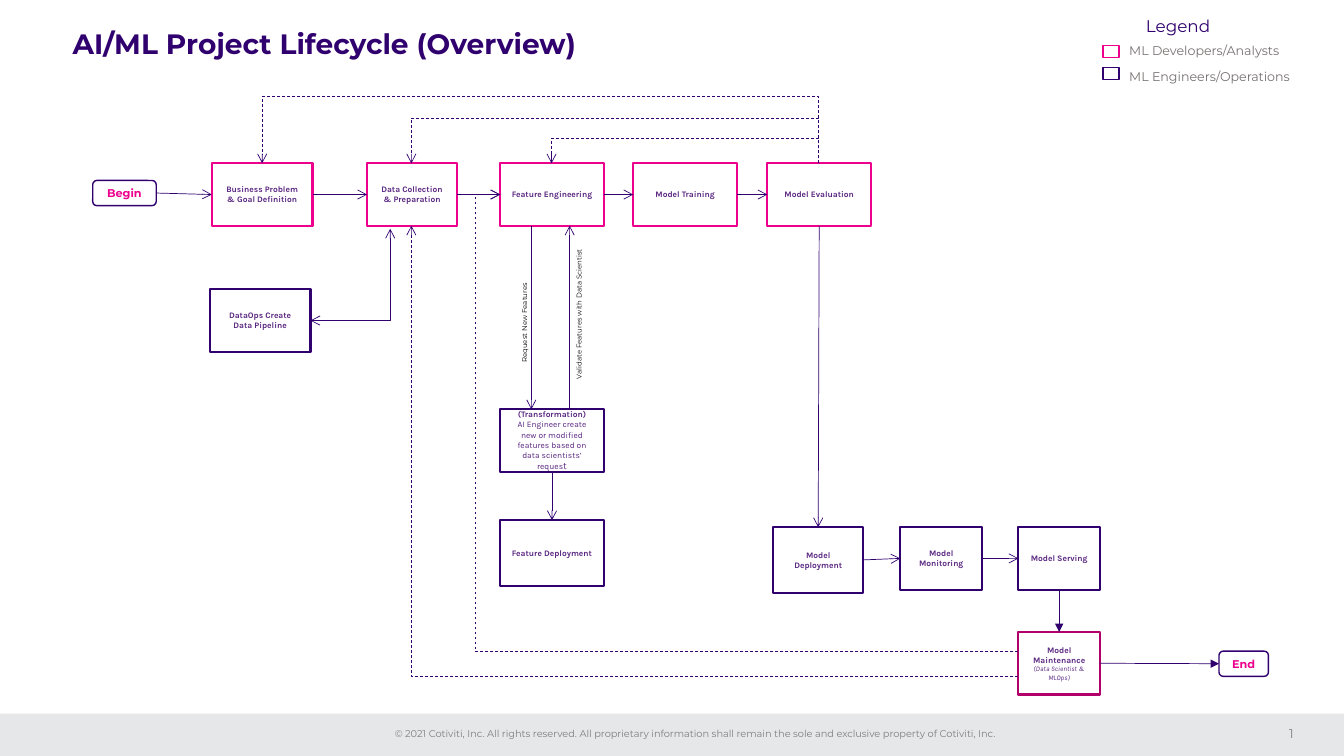
import pptx
import pptx.dml.color
import pptx.enum.dml
import pptx.enum.shapes
import pptx.enum.text
import pptx.oxml
import pptx.oxml.ns
import pptx.util
from lxml import etree

SHAPE = pptx.enum.shapes.MSO_SHAPE
ALIGN = pptx.enum.text.PP_ALIGN
ANCHOR = pptx.enum.text.MSO_ANCHOR
INCH = pptx.util.Inches
W, H = 13.33, 7.5
COLORS = {
    "navy": "30006F", "pink": "EC008C", "plum": "B10069", "purple": "592680",
    "white": "FFFFFF", "black": "000000", "band": "E6E7E8",
    "footer": "808080", "legend": "767171",
}
# Grid: left edge of each column and top edge of each row, in inches
COLS = {"begin": 0.92, "dataops": 2.08, "business": 2.1, "collect": 3.64,
        "feature": 4.96, "training": 6.28, "evaluate": 7.61, "deploy": 7.67,
        "monitor": 8.93, "serving": 10.1, "end": 12.09}
ROWS = {"begin": 1.79, "main": 1.62, "dataops": 2.87, "transform": 4.06,
        "feature": 5.16, "operate": 5.23, "maintain": 6.27, "end": 6.46}
BOX_H = 0.62
TOP, LEFT, BOTTOM, RIGHT = range(4)


def rgb(name):
    return pptx.dml.color.RGBColor.from_string(COLORS[name])


def add_run(p, text, size, color, font="Montserrat", bold=False, italic=False):
    r = p.add_run()
    r.text = text
    r.font.name, r.font.size = font, pptx.util.Pt(size)
    r.font.bold, r.font.italic = bold, italic
    r.font.color.rgb = rgb(color)
    return r


def add_box(s, x, y, w, h, line, width, fill="white", shape=SHAPE.RECTANGLE):
    sp = s.shapes.add_shape(shape, INCH(x), INCH(y), INCH(w), INCH(h))
    sp.shadow.inherit = False
    if fill:
        sp.fill.solid()
        sp.fill.fore_color.rgb = rgb(fill)
    else:
        sp.fill.background()
    if line:
        sp.line.color.rgb = rgb(line)
        sp.line.width = pptx.util.Pt(width)
    else:
        sp.line.fill.background()
    return sp


def add_step(s, col, row, w, line, paragraphs, h=BOX_H):
    """Process box; each paragraph is a list of (text, size, bold, italic)."""
    sp = add_box(s, COLS[col], ROWS[row], w, h, line, 1.5)
    tf = sp.text_frame
    tf.word_wrap, tf.vertical_anchor = True, ANCHOR.MIDDLE
    for i, runs in enumerate(paragraphs):
        p = tf.add_paragraph() if i else tf.paragraphs[0]
        p.alignment = ALIGN.CENTER
        for text, size, bold, italic in runs:
            add_run(p, text, size, "purple", "Karla", bold, italic)
    return sp


def add_terminal(s, name, w, text):
    sp = add_box(s, COLS[name], ROWS[name], w, 0.25, "navy", 1,
                 shape=SHAPE.ROUNDED_RECTANGLE)
    tf = sp.text_frame
    tf.word_wrap, tf.vertical_anchor = True, ANCHOR.MIDDLE
    p = tf.paragraphs[0]
    p.alignment = ALIGN.CENTER
    add_run(p, text, 8, "pink", bold=True)
    return sp


def add_label(s, x, y, w, h, text, size, color, align=ALIGN.LEFT, rotation=0):
    sp = s.shapes.add_textbox(INCH(x), INCH(y), INCH(w), INCH(h))
    sp.rotation = rotation
    tf = sp.text_frame
    tf.word_wrap, tf.vertical_anchor = True, ANCHOR.MIDDLE
    tf.margin_left = tf.margin_right = tf.margin_top = tf.margin_bottom = 0
    p = tf.paragraphs[0]
    p.alignment = align
    if text:
        add_run(p, text, size, color)
    return sp


def add_side_label(s, x, bottom, length, text):
    """Label that reads upwards, centred on x and starting at bottom."""
    h = 0.2
    add_label(s, x - length / 2, bottom - length / 2 - h / 2, length, h,
              text, 5, "black", rotation=270)


def style_line(sp, tail="arrow", head=None, dashed=False):
    sp.line.color.rgb = rgb("navy")
    sp.line.width = pptx.util.Pt(0.5)
    if dashed:
        sp.line.dash_style = pptx.enum.dml.MSO_LINE.DASH
    props = sp.element.spPr
    ln = props.find(pptx.oxml.ns.qn("a:ln"))
    for tag, kind in (("a:headEnd", head), ("a:tailEnd", tail)):
        if kind:
            etree.SubElement(ln, pptx.oxml.ns.qn(tag), type=kind)
    etree.SubElement(props, pptx.oxml.ns.qn("a:effectLst"))


def add_arrow(s, x1, y1, x2, y2):
    line = s.shapes.add_connector(pptx.enum.shapes.MSO_CONNECTOR.STRAIGHT,
                                  INCH(x1), INCH(y1), INCH(x2), INCH(y2))
    style_line(line)


def join(s, start, start_side, end, end_side, tail="arrow"):
    line = s.shapes.add_connector(pptx.enum.shapes.MSO_CONNECTOR.STRAIGHT, 0, 0, 0, 0)
    line.begin_connect(start, start_side)
    line.end_connect(end, end_side)
    style_line(line, tail)


def add_route(s, points, head=None, dashed=True):
    """Right-angled route through the given points."""
    first, *rest = [(INCH(x), INCH(y)) for x, y in points]
    builder = s.shapes.build_freeform(*first, scale=1.0)
    builder.add_line_segments(rest, close=False)
    sp = builder.convert_to_shape()
    sp.fill.background()
    style_line(sp, head=head, dashed=dashed)


def add_title(s):
    title = s.shapes.title
    title.left, title.top = INCH(0.62), INCH(0.25)
    title.width, title.height = INCH(7.38), INCH(0.7)
    tf = title.text_frame
    tf.auto_size = pptx.enum.text.MSO_AUTO_SIZE.NONE
    tf.word_wrap, tf.vertical_anchor = True, ANCHOR.TOP
    p = tf.paragraphs[0]
    p.alignment, p.line_spacing = ALIGN.LEFT, 0.9
    add_run(p, "AI/ML Project Lifecycle (Overview)", 20, "navy", bold=True)


def add_footer(s):
    add_box(s, 0, 7.08, W, H - 7.08, None, 0, fill="band")
    add_label(s, 3.76, 7.17, 6.27, 0.22,
              "© 2021 Cotiviti, Inc. All rights reserved. All proprietary information "
              "shall remain the sole and exclusive property of Cotiviti, Inc.",
              7, "footer", ALIGN.CENTER)
    # Slide number as a live field
    number = add_label(s, 12.3, 7.13, 0.53, 0.3, "1", 9, "footer", ALIGN.RIGHT)
    r = number.text_frame.paragraphs[0].runs[0]._r
    r.tag = pptx.oxml.ns.qn("a:fld")
    r.set("id", "{B6F15528-21DE-4FAA-801E-634DDDAF4B2B}")
    r.set("type", "slidenum")


def add_legend(s):
    add_label(s, 10.91, 0.16, 1.55, 0.2, "Legend", 12, "navy", ALIGN.CENTER)
    entries = [("pink", "ML Developers/Analysts"), ("navy", "ML Engineers/Operations")]
    for i, (color, text) in enumerate(entries):
        y = 0.45 + 0.22 * i
        add_box(s, 10.94, y, 0.16, 0.12, color, 1, fill=None)
        add_label(s, 11.2, 0.4 + 0.26 * i, 1.75, 0.2, text, 9, "legend")


def main():
    prs = pptx.Presentation()
    prs.slide_width, prs.slide_height = INCH(W), INCH(H)
    s = prs.slides.add_slide(prs.slide_layouts[5])
    add_footer(s)
    add_title(s)
    add_legend(s)

    # Process boxes: column, row, width, outline, text, height
    boxes = {}
    for name, col, row, w, line, text, h in [
        ("business", "business", "main", 1, "pink", "Business Problem & Goal Definition", BOX_H),
        ("collect", "collect", "main", 0.89, "pink", "Data Collection & Preparation", BOX_H),
        ("feature", "feature", "main", 1.03, "pink", "Feature Engineering", BOX_H),
        ("training", "training", "main", 1.03, "pink", "Model Training", BOX_H),
        ("evaluate", "evaluate", "main", 1.03, "pink", "Model Evaluation", BOX_H),
        ("dataops", "dataops", "dataops", 1, "navy", "DataOps Create Data Pipeline", BOX_H),
        ("rollout", "feature", "feature", 1.03, "navy", "Feature Deployment", 0.65),
        ("deploy", "deploy", "operate", 0.89, "navy", "Model Deployment", 0.65),
        ("monitor", "monitor", "operate", 0.81, "navy", "Model Monitoring", BOX_H),
        ("serving", "serving", "operate", 0.81, "navy", "Model Serving", BOX_H),
    ]:
        boxes[name] = add_step(s, col, row, w, line, [[(text, 6, True, False)]], h)
    boxes["transform"] = add_step(s, "feature", "transform", 1.03, "navy", [
        [("(Transformation)", 6, True, False)],
        [("AI Engineer create new or modified features based on data scientists’ reques",
          6, False, False), ("t", 7, False, False)]])
    boxes["maintain"] = add_step(s, "serving", "maintain", 0.81, "plum", [
        [("Model Maintenance", 6, True, False)],
        [("(Data Scientist & MLOps)", 5, False, True)]])
    boxes["begin"] = add_terminal(s, "begin", 0.63, "Begin")
    boxes["end"] = add_terminal(s, "end", 0.49, "End")

    # Straight flow between neighbouring boxes
    main_flow = ["begin", "business", "collect", "feature", "training", "evaluate"]
    for flow in (main_flow, ["deploy", "monitor", "serving"]):
        for start, end in zip(flow, flow[1:]):
            join(s, boxes[start], RIGHT, boxes[end], LEFT)
    join(s, boxes["transform"], BOTTOM, boxes["rollout"], TOP)
    join(s, boxes["evaluate"], BOTTOM, boxes["deploy"], TOP)
    join(s, boxes["serving"], BOTTOM, boxes["maintain"], TOP, "triangle")
    join(s, boxes["maintain"], RIGHT, boxes["end"], LEFT, "triangle")

    # Feature request and validation
    main_top, main_bottom = ROWS["main"], ROWS["main"] + BOX_H
    add_arrow(s, 5.27, main_bottom, 5.27, ROWS["transform"])
    add_arrow(s, 5.65, ROWS["transform"], 5.65, main_bottom)
    add_side_label(s, 5.2, 3.6, 1, "Request New Features")
    add_side_label(s, 5.74, 3.76, 1.5, "Validate Features with Data Scientist")

    # Feedback loops from evaluation and maintenance
    for x, lane in ((2.6, 0.96), (4.08, 1.17), (5.47, 1.37)):
        add_route(s, [(8.12, main_top), (8.12, lane), (x, lane), (x, main_top)])
    add_route(s, [(10.1, 6.71), (4.08, 6.71), (4.08, main_bottom)])
    add_route(s, [(10.1, 6.46), (4.71, 6.46), (4.71, 1.93), (COLS["feature"], 1.93)])
    add_route(s, [(3.87, 2.27), (3.87, 3.18), (3.08, 3.18)], head="arrow", dashed=False)
    prs.save("out.pptx")


if __name__ == "__main__":
    main()
